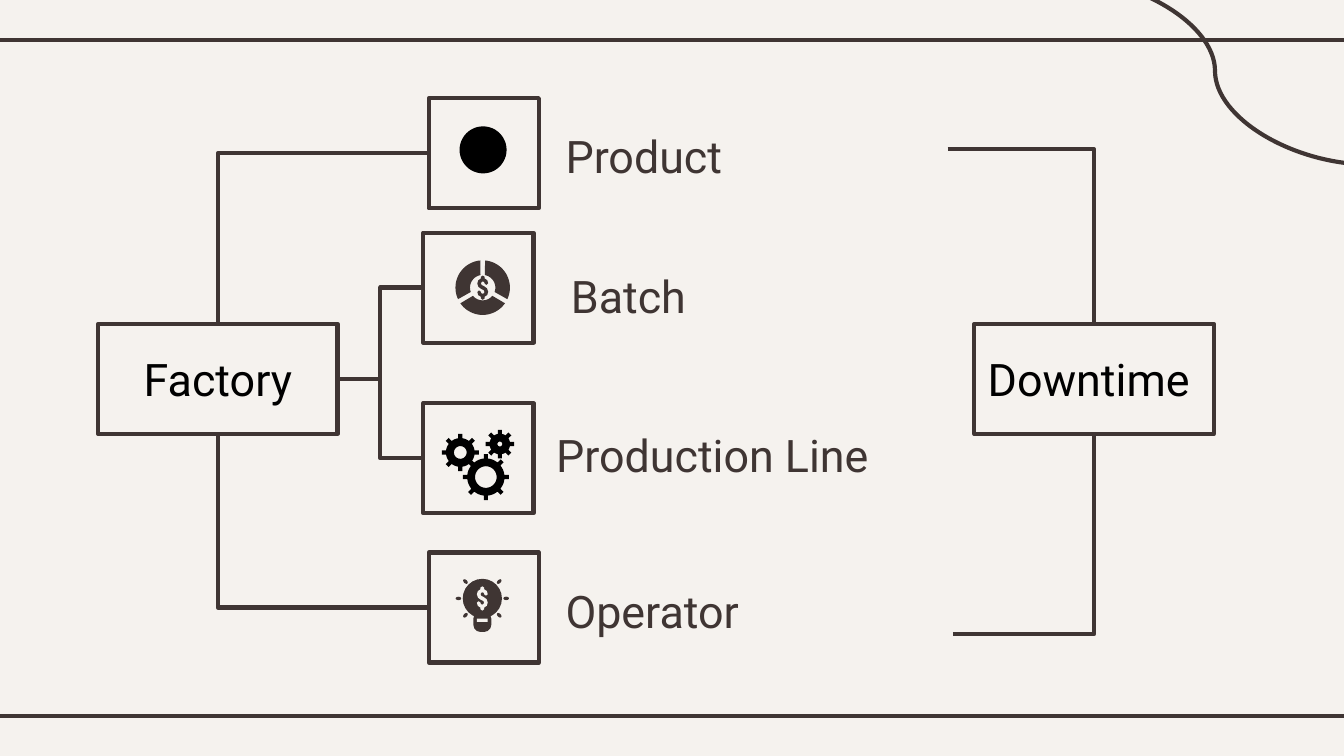
from math import cos, radians, sin

from lxml import etree
from pptx import Presentation
from pptx.dml.color import RGBColor
from pptx.enum.shapes import MSO_CONNECTOR, MSO_SHAPE
from pptx.enum.text import MSO_ANCHOR, PP_ALIGN
from pptx.oxml.ns import qn
from pptx.util import Pt

RECT, ROUND, OVAL = MSO_SHAPE.RECTANGLE, MSO_SHAPE.ROUNDED_RECTANGLE, MSO_SHAPE.OVAL
STRAIGHT, ELBOW, CURVE = MSO_CONNECTOR.STRAIGHT, MSO_CONNECTOR.ELBOW, MSO_CONNECTOR.CURVE
LEFT, CENTER = PP_ALIGN.LEFT, PP_ALIGN.CENTER
TOP, MIDDLE = MSO_ANCHOR.TOP, MSO_ANCHOR.MIDDLE

# Content
DARK, BLACK, PAPER = "3F3533", "000000", "F5F2EE"
ICON, BOX_W, BOX_TOP = 59, 128.2, 173.5
MID_Y = BOX_TOP + ICON / 2
BOXES = [("Factory", 52.6, CENTER), ("Downtime", 522, LEFT)]
# label, icon box left and top, label left and top
ROWS = [
    ("Product", 229.7, 52.6, 295.9, 61.9),
    ("Batch", 226.8, 124.6, 298.8, 136.8),
    ("Production Line", 226.8, 216, 290.9, 221.8),
    ("Operator", 229.7, 296, 295.9, 305.3),
]
BRACKETS = [(507.6, 79.9, BOX_TOP), (510.5, 339.8, BOX_TOP + ICON)]
RULES = [21.6, 383.8]
# centre, tip radius, body radius, hole radius
GEARS = [(246.6, 242.4, 10, 7.7, 3.4), (260.3, 255.6, 12.4, 10, 5.8),
         (267.8, 237.9, 7.7, 5.5, 1.3)]
# half of the dollar outline; the other half is turned by 180 degrees
DOLLAR = [(-1, -5.8), (0, -6.5), (1, -5.8), (1, -4.9), (2.4, -4), (2.9, -2.3),
          (2, -1.5), (1.1, -2.1), (0.7, -3.1), (-0.3, -3.3), (-1, -2.4), (-0.6, -1.4),
          (0.8, -0.7), (2.3, 0.4), (2.9, 2.2), (2.4, 3.9), (1, 4.9)]


def rgb(color):
    return RGBColor.from_string(color)


def paint(sp, fill=None, line=None):
    sp.shadow.inherit = False
    if fill:
        sp.fill.solid()
        sp.fill.fore_color.rgb = rgb(fill)
    else:
        sp.fill.background()
    if line:
        sp.line.color.rgb = rgb(line)
        sp.line.width = Pt(2.25)
    else:
        sp.line.fill.background()
    return sp


def shape(kind, x, y, w, h, fill=None, line=None):
    return paint(s.shapes.add_shape(kind, Pt(x), Pt(y), Pt(w), Pt(h)), fill, line)


def disc(cx, cy, radius, fill):
    return shape(OVAL, cx - radius, cy - radius, 2 * radius, 2 * radius, fill)


def outline(contours, fill):
    contours = [[(Pt(x), Pt(y)) for x, y in points] for points in contours]
    fb = s.shapes.build_freeform(*contours[0][0])
    for i, points in enumerate(contours):
        if i:
            fb.move_to(*points[0])
        fb.add_line_segments(points[1:], close=True)
    return paint(fb.convert_to_shape(), fill)


def polar(cx, cy, radius, angle):
    return cx + radius * cos(radians(angle)), cy + radius * sin(radians(angle))


def connector(kind, x1, y1, x2, y2):
    cn = s.shapes.add_connector(kind, Pt(x1), Pt(y1), Pt(x2), Pt(y2))
    cn.line.color.rgb = rgb(DARK)
    cn.line.width = Pt(2.25)
    etree.SubElement(cn._element.spPr, qn("a:effectLst"))
    return cn


def corner(x1, y1, x2, y2):
    """One bend: first across, then up or down."""
    cn = connector(ELBOW, x1, y1, x2, y2)
    cn._element.spPr.find(qn("a:prstGeom")).set("prst", "bentConnector2")
    return cn


def write(sp, text, color, align=LEFT, anchor=TOP):
    tf = sp.text_frame
    tf.word_wrap = True
    tf.vertical_anchor = anchor
    tf.margin_left = tf.margin_right = tf.margin_top = tf.margin_bottom = Pt(7.2)
    p = tf.paragraphs[0]
    p.alignment = align
    r = p.add_run()
    r.text = text
    r.font.name, r.font.size = "Roboto", Pt(24)
    r.font.color.rgb = rgb(color)


def dollar(cx, cy, fill):
    points = DOLLAR + [(-x, -y) for x, y in DOLLAR]
    outline([[(cx + x, cy + y) for x, y in points]], fill)


def gear(cx, cy, tip, body, hole):
    teeth = []
    for angle in range(0, 360, 45):
        for radius, half in ((body, 1.1), (tip, 1.1)):
            turn = half / radius * 57.3
            teeth.append((radius, angle - turn, angle + turn))
    rim = []
    for (body_r, b1, b2), (tip_r, t1, t2) in zip(teeth[::2], teeth[1::2]):
        rim += [polar(cx, cy, body_r, b1), polar(cx, cy, tip_r, t1),
                polar(cx, cy, tip_r, t2), polar(cx, cy, body_r, b2)]
        rim += [polar(cx, cy, body_r, b2 + (45 - b2 + b1) * k / 4) for k in (1, 2, 3)]
    inner = [polar(cx, cy, hole, -a) for a in range(0, 360, 10)]
    outline([rim, inner], BLACK)


def ring(cx, cy, outer, inner):
    for start in (-90, 30, 150):
        outer_arc = [polar(cx, cy, outer, start + a) for a in range(5, 116, 5)]
        inner_arc = [polar(cx, cy, inner, start + a) for a in range(110, 9, -5)]
        outline([outer_arc + inner_arc], DARK)
    dollar(cx, cy, DARK)


def bulb(cx, cy):
    disc(cx, cy, 10.5, DARK)
    neck = shape(ROUND, cx - 4.8, cy + 7, 9.6, 11, DARK)
    neck.adjustments[0] = 0.4
    shape(RECT, cx - 2.9, cy + 10.8, 5.8, 1.8, PAPER)
    dollar(cx, cy, PAPER)
    for angle in (0, 45, 135, 180, 225, 315):
        x, y = polar(cx, cy, 12.8, angle)
        ray = shape(OVAL, x - 1.5, y - 0.9, 3, 1.8, DARK)
        ray.rotation = angle


prs = Presentation()
prs.slide_width, prs.slide_height = Pt(720), Pt(405)
s = prs.slides.add_slide(prs.slide_layouts[6])
s.background.fill.solid()
s.background.fill.fore_color.rgb = rgb(PAPER)

# Frame rules and corner curve
for y in RULES:
    connector(STRAIGHT, -5.8, y, 725.8, y)
connector(CURVE, 567.4, -12.2, 734.4, 88.2)

# Main boxes
boxes = {}
for text, x, align in BOXES:
    boxes[text] = shape(RECT, x, BOX_TOP, BOX_W, ICON, line=DARK)
    write(boxes[text], text, BLACK, align, MIDDLE)

# Icon boxes with labels, joined to the factory
factory, factory_x = boxes["Factory"], BOXES[0][1]
for i, (text, x, y, label_x, label_y) in enumerate(ROWS):
    icon_box = shape(RECT, x, y, ICON, ICON, line=DARK)
    write(s.shapes.add_textbox(Pt(label_x), Pt(label_y), Pt(211.7), Pt(37.4)), text, DARK)
    icon_y = y + ICON / 2
    if i in (0, 3):
        side, edge = (0, BOX_TOP) if i == 0 else (2, BOX_TOP + ICON)
        cn = corner(x, icon_y, factory_x + BOX_W / 2, edge)
        cn.begin_connect(icon_box, 1)
        cn.end_connect(factory, side)
    else:
        cn = connector(ELBOW, factory_x + BOX_W, MID_Y, x, icon_y)
        cn.begin_connect(factory, 3)
        cn.end_connect(icon_box, 1)

# Brackets into the downtime box
for x, y, edge in BRACKETS:
    corner(x, y, BOXES[1][1] + BOX_W / 2, edge)

# Icons
disc(258.8, 80.3, 12.6, BLACK)
ring(258.6, 154.1, 14.6, 6.8)
for dims in GEARS:
    gear(*dims)
bulb(258.4, 320.6)

prs.save("out.pptx")
